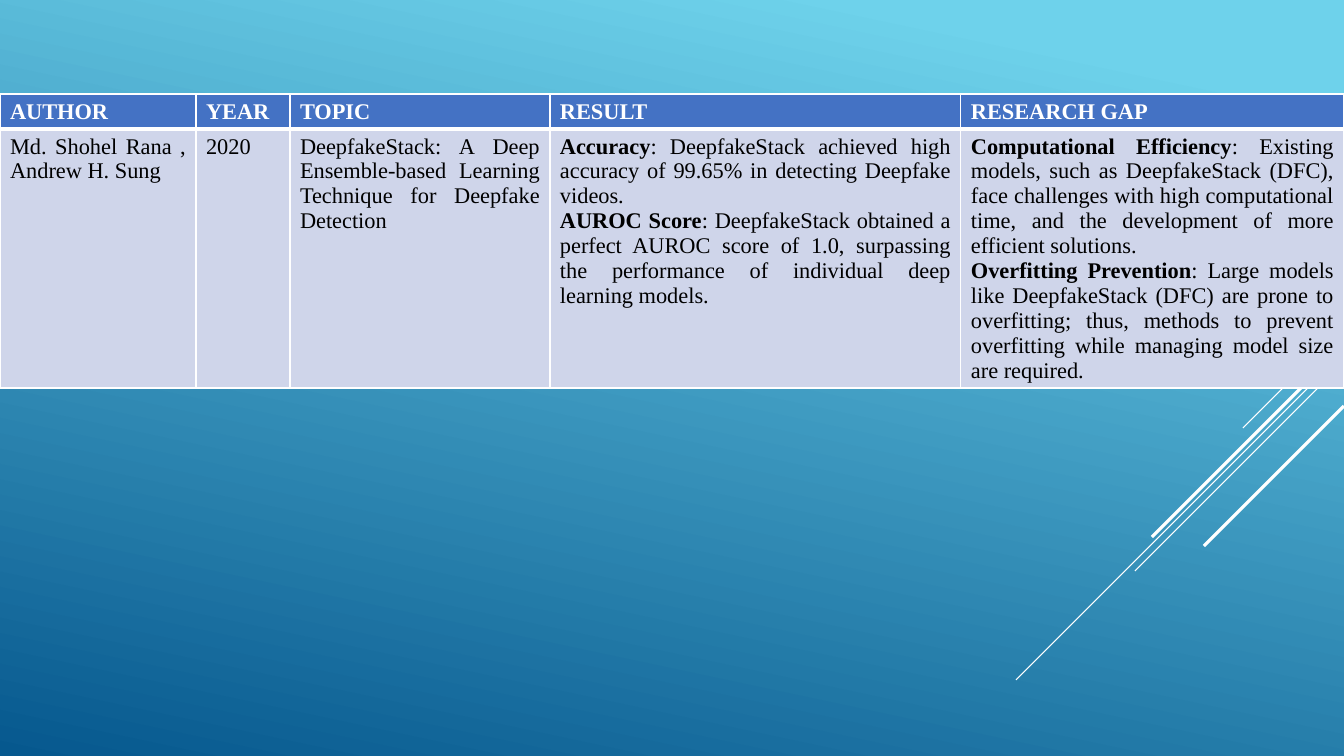
from dataclasses import dataclass

from lxml.etree import SubElement
from pptx import Presentation
from pptx.dml.color import RGBColor as Rgb
from pptx.enum.shapes import MSO_CONNECTOR as Connector
from pptx.enum.text import PP_ALIGN as Align
from pptx.oxml.ns import qn
from pptx.util import Emu, Pt

SLIDE_W, SLIDE_H = 1344, 756


@dataclass(frozen=True)
class Theme:
    font: str = "Times New Roman"
    text_size: int = 16
    sky: str = "6ED2EB"
    deep_sea: str = "06588E"
    header_fill: str = "4472C4"
    body_fill: str = "CFD5EA"
    white: str = "FFFFFF"
    black: str = "000000"
    thin_border: int = 1
    thick_border: int = 3


THEME = Theme()

# Table content: each cell is a list of paragraphs, each a list of (text, bold)
COLUMN_WIDTHS = [196, 94, 260, 411, 383]
ROW_HEIGHTS = [35, 259]
HEADINGS = ["AUTHOR", "YEAR", "TOPIC", "RESULT", "RESEARCH GAP"]
STUDY = [
    [[("Md. Shohel Rana , Andrew H. Sung", False)]],
    [[("2020", False)]],
    [[("DeepfakeStack: A Deep Ensemble-based Learning Technique for "
       "Deepfake Detection", False)]],
    [[("Accuracy", True),
      (": DeepfakeStack achieved high accuracy of 99.65% in detecting "
       "Deepfake videos.", False)],
     [("AUROC Score", True),
      (": DeepfakeStack obtained a perfect AUROC score of 1.0, surpassing "
       "the performance of individual deep learning models.", False)]],
    [[("Computational Efficiency", True),
      (": Existing models, such as DeepfakeStack (DFC), face challenges with "
       "high computational time, and the development of more efficient "
       "solutions.", False)],
     [("Overfitting Prevention", True),
      (": Large models like DeepfakeStack (DFC) are prone to overfitting; "
       "thus, methods to prevent overfitting while managing model size are "
       "required.", False)]],
]

# Diagonal rays: start height on the right edge, run to the left, line width
RAYS = [(327, 101, 0.75), (352, 328, 0.75), (362, 209, 0.75),
        (345, 192, 2.25), (406, 140, 2.25)]


def px(length):
    return Emu(round(length * 914400 / 100.8))


def color(code):
    return Rgb.from_string(code)


def paint_background(slide):
    fill = slide.background.fill
    fill.gradient()
    fill.gradient_angle = 258
    stops = ((0.1, THEME.sky), (1.0, THEME.deep_sea))
    for stop, (position, code) in zip(fill.gradient_stops, stops):
        stop.position = position
        stop.color.rgb = color(code)


def add_ray(slide, top, run, width):
    """Draw a 45-degree line down from the right edge."""
    ray = slide.shapes.add_connector(
        Connector.STRAIGHT, px(SLIDE_W), px(top), px(SLIDE_W - run), px(top + run))
    ray.line.color.rgb = color(THEME.white)
    ray.line.width = Pt(width)
    SubElement(ray._element.spPr, qn("a:effectLst"))


def add_borders(cell, top, bottom):
    properties = cell._tc.get_or_add_tcPr()
    widths = {"L": THEME.thin_border, "R": THEME.thin_border,
              "T": top, "B": bottom}
    for side, width in widths.items():
        border = SubElement(properties, qn(f"a:ln{side}"), w=str(Pt(width)))
        solid = SubElement(border, qn("a:solidFill"))
        SubElement(solid, qn("a:srgbClr"), val=THEME.white)


def fill_cell(cell, paragraphs, fill, ink, align):
    cell.fill.solid()
    cell.fill.fore_color.rgb = color(fill)
    frame = cell.text_frame
    for index, parts in enumerate(paragraphs):
        paragraph = frame.add_paragraph() if index else frame.paragraphs[0]
        paragraph.alignment = align
        for text, bold in parts:
            run = paragraph.add_run()
            run.text = text
            run.font.name = THEME.font
            run.font.size = Pt(THEME.text_size)
            run.font.bold = bold
            run.font.color.rgb = color(ink)


def add_study_table(slide):
    table = slide.shapes.add_table(
        len(ROW_HEIGHTS), len(COLUMN_WIDTHS), 0, px(94),
        px(sum(COLUMN_WIDTHS)), px(sum(ROW_HEIGHTS))).table
    for column, width in zip(table.columns, COLUMN_WIDTHS):
        column.width = px(width)
    for row, height in zip(table.rows, ROW_HEIGHTS):
        row.height = px(height)

    thin, thick = THEME.thin_border, THEME.thick_border
    for index, (heading, finding) in enumerate(zip(HEADINGS, STUDY)):
        # Heading
        head = table.cell(0, index)
        add_borders(head, thin, thick)
        fill_cell(head, [[(heading, True)]], THEME.header_fill, THEME.white,
                  Align.LEFT)
        # Finding
        body = table.cell(1, index)
        add_borders(body, thick, thin)
        fill_cell(body, finding, THEME.body_fill, THEME.black, Align.JUSTIFY)


def main():
    deck = Presentation()
    deck.slide_width, deck.slide_height = px(SLIDE_W), px(SLIDE_H)
    slide = deck.slides.add_slide(deck.slide_layouts[6])

    # Backdrop
    paint_background(slide)
    for ray in RAYS:
        add_ray(slide, *ray)

    # Literature review
    add_study_table(slide)
    deck.save("out.pptx")


if __name__ == "__main__":
    main()
